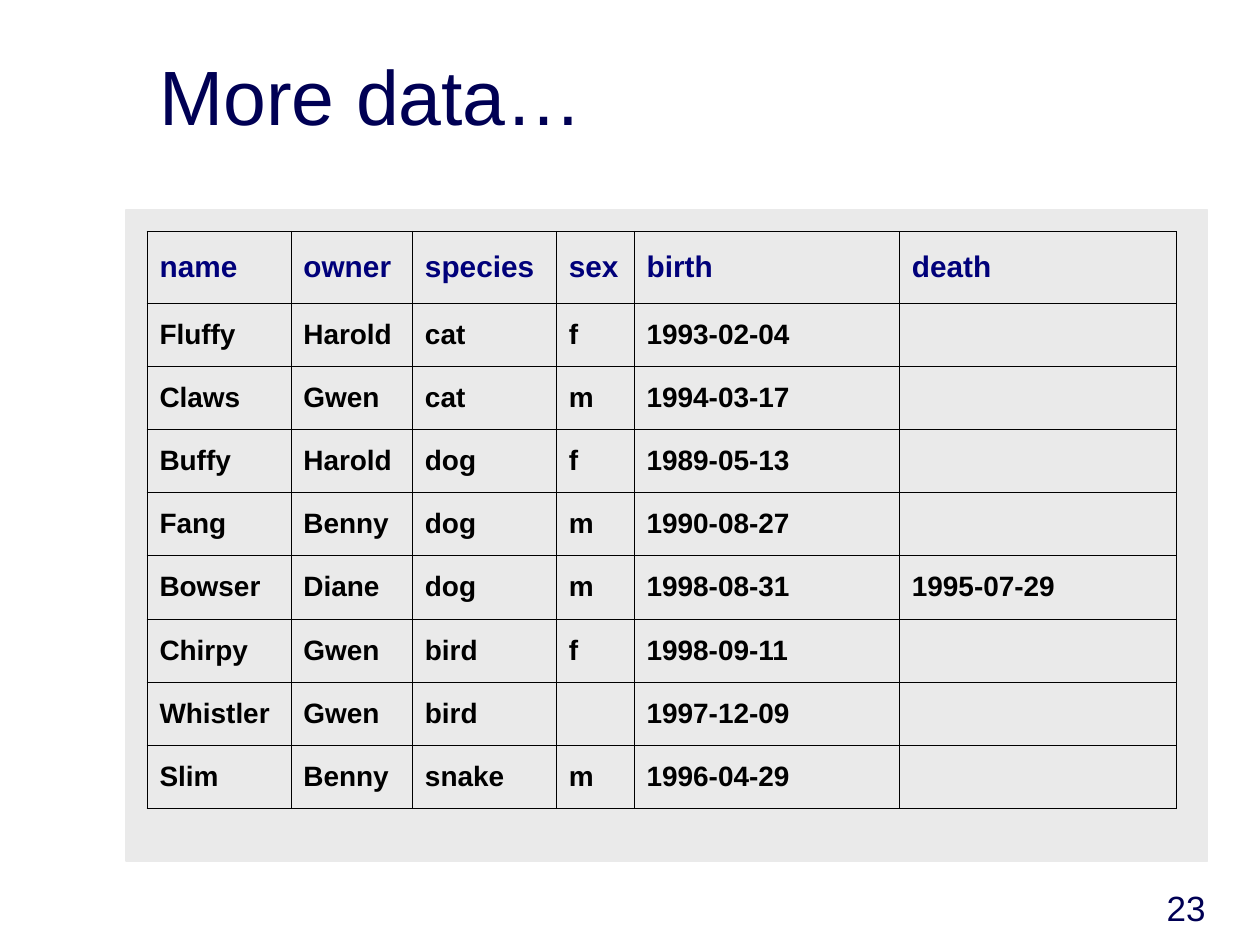
from lxml import etree
from pptx import Presentation
from pptx.dml.color import RGBColor
from pptx.enum import shapes, text
from pptx.oxml import ns
from pptx.util import Pt

COLORS = {
    "title": "000054",
    "heading": "00007A",
    "body": "000000",
    "border": "000000",
    "panel": "EAEAEA",
}
FONT = "Arial"
BORDER_WIDTH = 0.34
COLUMN_WIDTHS = [82.2, 69.5, 82.2, 44.5, 151.6, 158.2]
HEADING_HEIGHT = 41.2
PETS = [
    ["name", "owner", "species", "sex", "birth", "death"],
    ["Fluffy", "Harold", "cat", "f", "1993-02-04", ""],
    ["Claws", "Gwen", "cat", "m", "1994-03-17", ""],
    ["Buffy", "Harold", "dog", "f", "1989-05-13", ""],
    ["Fang", "Benny", "dog", "m", "1990-08-27", ""],
    ["Bowser", "Diane", "dog", "m", "1998-08-31", "1995-07-29"],
    ["Chirpy", "Gwen", "bird", "f", "1998-09-11", ""],
    ["Whistler", "Gwen", "bird", "", "1997-12-09", ""],
    ["Slim", "Benny", "snake", "m", "1996-04-29", ""],
]


def rgb(name):
    return RGBColor.from_string(COLORS[name])


def style_text(paragraph, size, color, bold=False):
    for run in paragraph.runs:
        run.font.name = FONT
        run.font.size = Pt(size)
        run.font.bold = bold
        run.font.color.rgb = rgb(color)


def add_label(slide, box, wording, size, align):
    label = slide.shapes.add_textbox(*map(Pt, box)).text_frame
    label.word_wrap = True
    label.vertical_anchor = text.MSO_ANCHOR.BOTTOM
    label.text = wording
    label.paragraphs[0].alignment = align
    style_text(label.paragraphs[0], size, "title")


def add_panel(slide, box):
    panel = slide.shapes.add_shape(shapes.MSO_SHAPE.RECTANGLE, *map(Pt, box))
    panel.shadow.inherit = False
    panel.fill.solid()
    panel.fill.fore_color.rgb = rgb("panel")
    panel.line.color.rgb = rgb("panel")
    panel.line.width = Pt(0.75)


def add_borders(cell):
    properties = cell._tc.get_or_add_tcPr()
    for side in ("lnL", "lnR", "lnT", "lnB"):
        border = etree.SubElement(properties, ns.qn(f"a:{side}"), w=str(Pt(BORDER_WIDTH)))
        fill = etree.SubElement(border, ns.qn("a:solidFill"))
        etree.SubElement(fill, ns.qn("a:srgbClr"), val=COLORS["border"])


def add_pet_table(slide, box):
    frame = slide.shapes.add_table(len(PETS), len(COLUMN_WIDTHS), *map(Pt, box))
    pets = frame.table
    pets.horz_banding = False
    for column, width in zip(pets.columns, COLUMN_WIDTHS):
        column.width = Pt(width)
    record_height = (box[3] - HEADING_HEIGHT) / (len(PETS) - 1)
    for r, record in enumerate(PETS):
        is_heading = r == 0
        pets.rows[r].height = Pt(HEADING_HEIGHT if is_heading else record_height)
        for c, value in enumerate(record):
            cell = pets.cell(r, c)
            cell.vertical_anchor = text.MSO_ANCHOR.MIDDLE
            add_borders(cell)
            cell.fill.background()
            if value:
                cell.text_frame.text = value
                style_text(
                    cell.text_frame.paragraphs[0],
                    17 if is_heading else 16,
                    "heading" if is_heading else "body",
                    bold=True,
                )


def main():
    deck = Presentation()
    deck.slide_width, deck.slide_height = Pt(720), Pt(540)
    slide = deck.slides.add_slide(deck.slide_layouts[6])
    add_label(slide, (84, 18, 612, 66), "More data…", 44, text.PP_ALIGN.LEFT)
    add_panel(slide, (72, 120, 618, 372))
    add_pet_table(slide, (84, 132, sum(COLUMN_WIDTHS), 330))
    add_label(slide, (546, 498, 150, 36), "23", 20, text.PP_ALIGN.RIGHT)
    deck.save("out.pptx")


if __name__ == "__main__":
    main()
